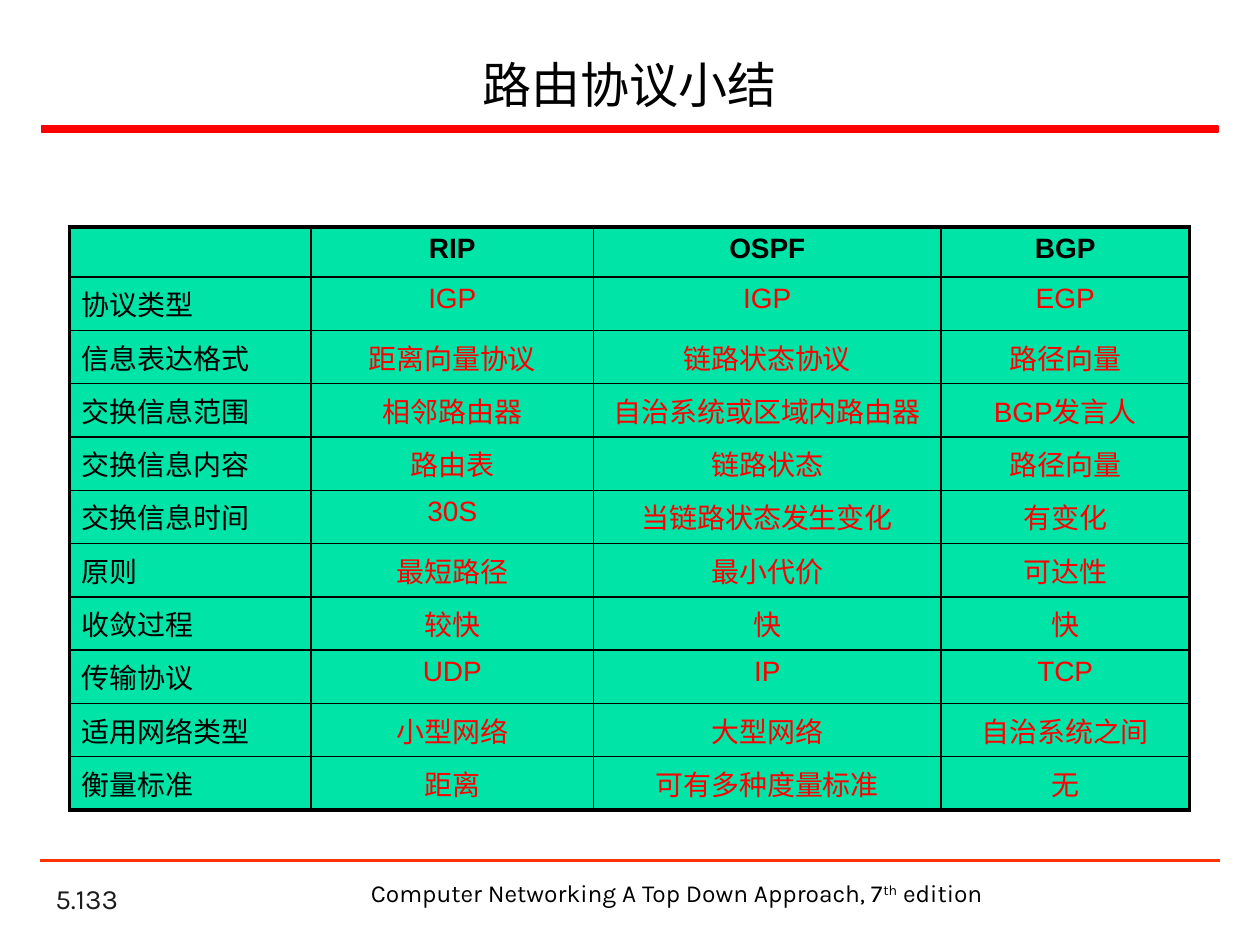
from dataclasses import dataclass

from lxml import etree
from pptx import Presentation
from pptx.dml.color import RGBColor
from pptx.enum.shapes import MSO_CONNECTOR, MSO_SHAPE
from pptx.enum.text import MSO_ANCHOR, MSO_AUTO_SIZE, PP_ALIGN
from pptx.oxml.ns import qn
from pptx.util import Inches, Pt

LEFT, CENTER = PP_ALIGN.LEFT, PP_ALIGN.CENTER
TOP, BOTTOM = MSO_ANCHOR.TOP, MSO_ANCHOR.BOTTOM


@dataclass(frozen=True)
class Theme:
    black: str = "000000"
    number: str = "1C1C1C"
    red: str = "FF0000"
    rule: str = "FF3300"
    green: str = "00E4A8"
    title_pt: int = 28
    body_pt: int = 16
    footer_pt: int = 14
    outer_pt: float = 2.25
    inner_pt: float = 1
    latin: str = "Arial"
    cjk: str = "Noto Sans CJK SC"
    footer: str = "Karla"


T = Theme()


def style(p, size, color, name, align=LEFT, bold=False):
    """Format a whole paragraph, with the Chinese font for East Asian text."""
    p.alignment = align
    p.font.size = Pt(size)
    p.font.bold = bold
    p.font.color.rgb = RGBColor.from_string(color)
    p.font.name = name
    etree.SubElement(p._p.pPr.find(qn("a:defRPr")), qn("a:ea"), typeface=T.cjk)


def add_border(cell, side, width):
    ln = etree.SubElement(cell._tc.get_or_add_tcPr(), qn(f"a:ln{side}"), w=str(Pt(width)))
    fill = etree.SubElement(ln, qn("a:solidFill"))
    etree.SubElement(fill, qn("a:srgbClr"), val=T.black)


prs = Presentation()
prs.slide_width, prs.slide_height = Inches(10), Inches(7.5)
s = prs.slides.add_slide(prs.slide_layouts[5])

# Title and the bar below it
title = s.shapes.title
title.left, title.top = Inches(0.37), Inches(0.25)
title.width, title.height = Inches(9.25), Inches(0.7)
tf = title.text_frame
tf.text = "路由协议小结"
tf.auto_size = MSO_AUTO_SIZE.NONE
tf.vertical_anchor = BOTTOM
style(tf.paragraphs[0], T.title_pt, T.black, T.cjk, CENTER)

bar = s.shapes.add_shape(MSO_SHAPE.RECTANGLE, Inches(0.33), Inches(1), Inches(9.34), Inches(0.05))
bar.shadow.inherit = False
bar.fill.solid()
bar.fill.fore_color.rgb = bar.line.color.rgb = RGBColor.from_string(T.red)
bar.line.width = Pt(1)

# Footer rule, page number and book title
rule = s.shapes.add_connector(
    MSO_CONNECTOR.STRAIGHT, Inches(0.32), Inches(6.83), Inches(9.68), Inches(6.83))
rule.line.color.rgb = RGBColor.from_string(T.rule)
rule.line.width = Pt(1.5)
etree.SubElement(rule._element.spPr, qn("a:effectLst"))

footers = [
    ((0.34, 6.98, 2.08, 0.33), ["5.133"], T.body_pt, T.number, LEFT, BOTTOM),
    ((2.83, 6.92, 5.08, 0.34), ["Computer Networking A Top Down Approach, 7", "th", " edition"],
     T.footer_pt, T.black, CENTER, TOP),
]
for box, texts, size, color, align, anchor in footers:
    tf = s.shapes.add_textbox(*map(Inches, box)).text_frame
    tf.word_wrap = True
    tf.vertical_anchor = anchor
    p = tf.paragraphs[0]
    style(p, size, color, T.footer, align)
    for text in texts:
        r = p.add_run()
        r.text = text
        if text == "th":
            r._r.get_or_add_rPr().set("baseline", "30000")

# Comparison of the routing protocols
rows = [
    ["", "RIP", "OSPF", "BGP"],
    ["协议类型", "IGP", "IGP", "EGP"],
    ["信息表达格式", "距离向量协议", "链路状态协议", "路径向量"],
    ["交换信息范围", "相邻路由器", "自治系统或区域内路由器", "BGP发言人"],
    ["交换信息内容", "路由表", "链路状态", "路径向量"],
    ["交换信息时间", "30S", "当链路状态发生变化", "有变化"],
    ["原则", "最短路径", "最小代价", "可达性"],
    ["收敛过程", "较快", "快", "快"],
    ["传输协议", "UDP", "IP", "TCP"],
    ["适用网络类型", "小型网络", "大型网络", "自治系统之间"],
    ["衡量标准", "距离", "可有多种度量标准", "无"],
]
widths = [1.92, 2.24, 2.76, 1.97]
table_height, header_height = 4.63, 0.4
last_row, last_col = len(rows) - 1, len(widths) - 1
row_height = (table_height - header_height) / last_row

table = s.shapes.add_table(len(rows), len(widths), Inches(0.55), Inches(1.8),
                           Inches(sum(widths)), Inches(table_height)).table
table.first_row = table.horz_banding = False
for column, width in zip(table.columns, widths):
    column.width = Inches(width)

for i, texts in enumerate(rows):
    table.rows[i].height = Inches(row_height if i else header_height)
    for j, text in enumerate(texts):
        cell = table.cell(i, j)
        cell.text = text
        color = T.red if i and j else T.black
        style(cell.text_frame.paragraphs[0], T.body_pt, color, T.latin,
              CENTER if j else LEFT, bold=i == 0)
        edges = {"L": j == 0, "R": j == last_col, "T": i == 0, "B": i == last_row}
        for side, outer in edges.items():
            add_border(cell, side, T.outer_pt if outer else T.inner_pt)
        cell.fill.solid()
        cell.fill.fore_color.rgb = RGBColor.from_string(T.green)

prs.save("out.pptx")
